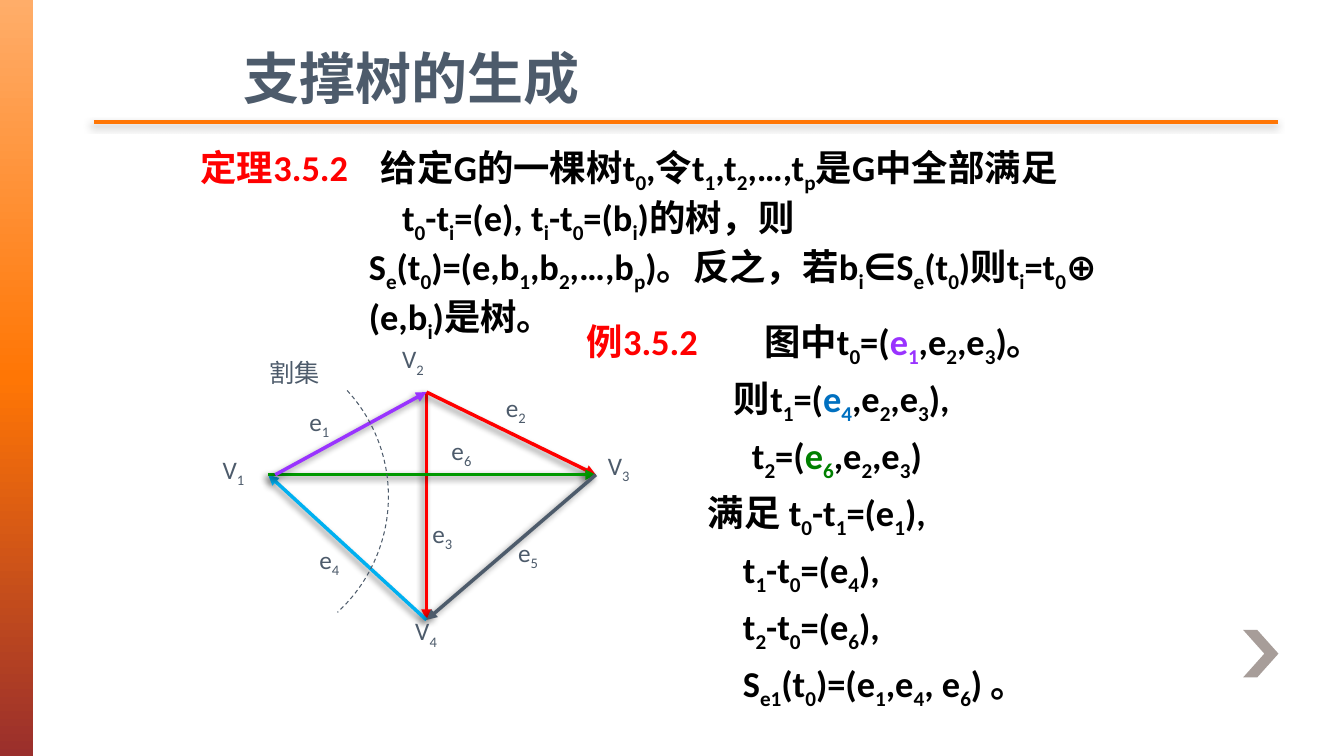
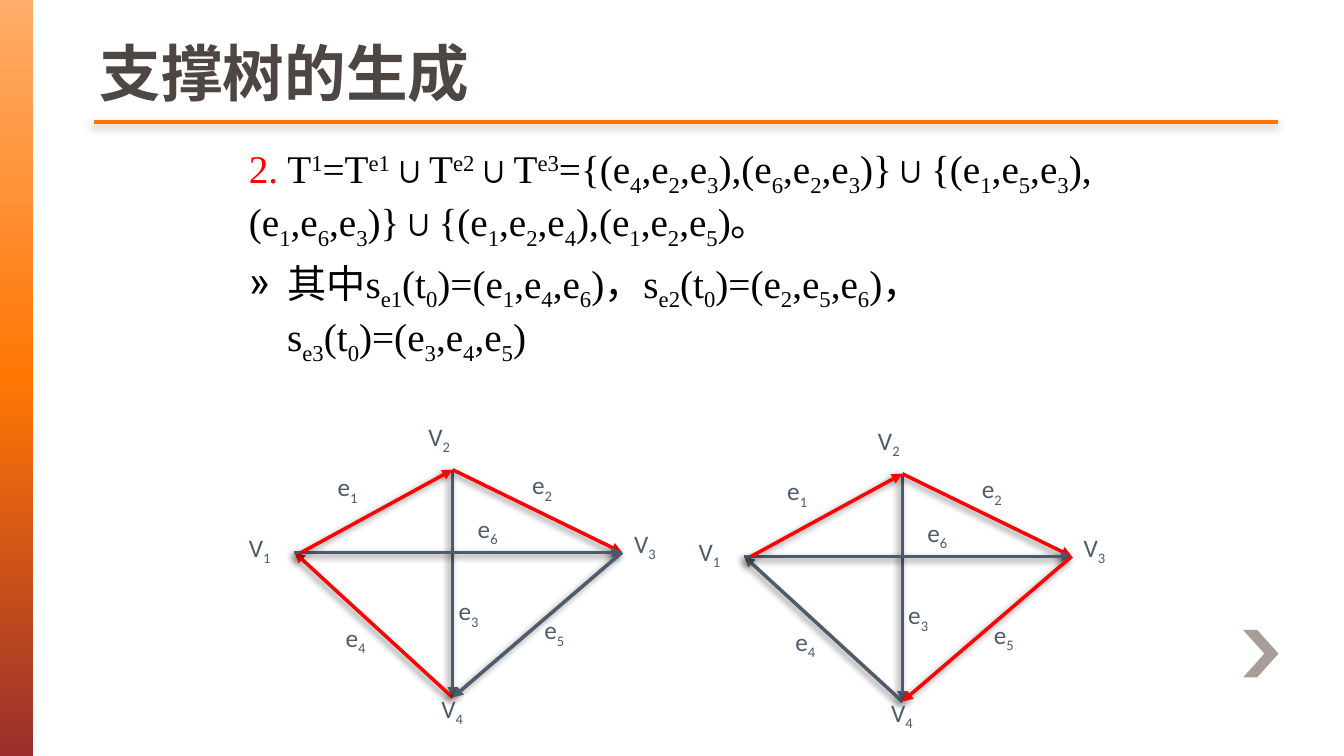
"""Builds two slides on generating spanning trees."""
from lxml import etree
from pptx import Presentation
from pptx.dml.color import RGBColor
from pptx.enum.dml import MSO_LINE
from pptx.enum.shapes import MSO_CONNECTOR, MSO_SHAPE
from pptx.enum.text import MSO_ANCHOR
from pptx.oxml import parse_xml
from pptx.oxml.ns import nsdecls, qn
from pptx.util import Emu, Pt

PX = 9144
SLATE, RED, BLACK, ORANGE = "4D5B6B", "FF0000", "000000", "FF7605"
BROWN, GREY = "4D4643", "A79D99"
PURPLE, BLUE, GREEN = "9933FF", "0070C0", "008000"
BAND_STOPS = [(0, "FFAD69"), (50, ORANGE), (100, "9A2F2C")]
TITLE = "支撑树的生成"

# Paragraphs: spans, left indent, hanging indent, space before, bullet
THEOREM = [
    dict(spans=[("定理3.5.2\t", RED), "给定G的一棵树t_0_,令t_1_,t_2_,…,t_p_是G中全部满足"],
         left=179, hang=179),
    dict(spans=["t_0_-t_i_=(e), t_i_-t_0_=(b_i_)的树，则"], left=200),
    dict(spans=["S_e_(t_0_)=(e,b_1_,b_2_,…,b_p_)。反之，若b_i_∈S_e_(t_0_)则t_i_=t_0_⊕ (e,b_i_)是树。"],
         left=167),
]
EXAMPLE = [
    dict(spans=[("例3.5.2\t", RED), "图中t_0_=(", ("e_1_", PURPLE), ",e_2_,e_3_)。"],
         left=176, hang=176),
    dict(spans=["则t_1_=(", ("e_4_", BLUE), ",e_2_,e_3_),"], left=146, before=5.2),
    dict(spans=["t_2_=(", ("e_6_", GREEN), ",e_2_,e_3_)"], left=164, before=5.2),
    dict(spans=["满足 t_0_-t_1_=(e_1_),"], left=120, before=5.2),
    dict(spans=["t_1_-t_0_=(e_4_),"], left=155, before=5.2),
    dict(spans=["t_2_-t_0_=(e_6_),"], left=155, before=5.2),
    dict(spans=["S_e1_(t_0_)=(e_1_,e_4_, e_6_) 。"], left=155, before=5.2),
]
UNION = [
    dict(spans=[("2.", RED),
                " T_^1_=T_^e1_∪T_^e2_∪T_^e3_={(e_4_,e_2_,e_3_),(e_6_,e_2_,e_3_)}"
                "∪{(e_1_,e_5_,e_3_),(e_1_,e_6_,e_3_)}∪{(e_1_,e_2_,e_4_),(e_1_,e_2_,e_5_)。"]),
    dict(spans=["其中s_e1_(t_0_)=(e_1_,e_4_,e_6_)，s_e2_(t_0_)=(e_2_,e_5_,e_6_)，"
                "s_e3_(t_0_)=(e_3_,e_4_,e_5_)"],
         left=38, hang=38, before=5.6, bullet="»"),
]

# Graph geometry, measured from vertex V2
V1, V2, V3, V4 = (-157, 82), (0, 0), (168, 82), (0, 226)
EDGES = {"e3": (V2, V4), "e2": (V2, V3), "e4": (V4, V1),
         "e6": (V1, V3), "e1": ((-150, 82), V2), "e5": (V3, V4)}
LABELS = {"e2": (69, -5), "e4": (-116, 146), "e3": (-4, 120), "e5": (81, 139),
          "e6": (15, 38), "V1": (-212, 57), "V2": (-34, -53), "V3": (170, 53),
          "V4": (-21, 217), "e1": (-124, -3)}
COLOURED_GRAPH = dict(
    origin=(423, 389), e1_label=(-126, 9),
    colours={"e1": PURPLE, "e2": RED, "e3": RED, "e4": "00B0F0", "e6": "009900"})
TREE_GRAPHS = [
    dict(origin=(449, 466), colours=dict.fromkeys(("e1", "e2", "e4"), RED)),
    dict(origin=(895, 470), colours=dict.fromkeys(("e1", "e2", "e5"), RED)),
]


def px(*values):
    return [Emu(v * PX) for v in values]


def rgb(value):
    return RGBColor.from_string(value)


def add_text(slide, box, paragraphs, size=18, font="Calibri", colour=SLATE,
             bold=False, anchor=MSO_ANCHOR.TOP):
    if isinstance(paragraphs, str):
        paragraphs = [dict(spans=[paragraphs])]
    tf = slide.shapes.add_textbox(*px(*box)).text_frame
    tf.word_wrap = True
    tf.vertical_anchor = anchor
    for i, item in enumerate(paragraphs):
        p = tf.add_paragraph() if i else tf.paragraphs[0]
        pPr = p._p.get_or_add_pPr()
        pPr.set("marL", str(item.get("left", 0) * PX))
        pPr.set("indent", str(-item.get("hang", 0) * PX))
        if "bullet" in item:
            etree.SubElement(pPr, qn("a:buChar")).set("char", item["bullet"])
        p.space_before = Pt(item.get("before", 0))
        for span in item["spans"]:
            text, span_colour = (span, colour) if isinstance(span, str) else span
            for k, part in enumerate(text.split("_")):
                if not part:
                    continue
                r = p.add_run()
                r.text = part.lstrip("^")
                f = r.font
                f.size, f.name, f.bold = Pt(size), font, bold
                f.color.rgb = rgb(span_colour)
                if k % 2:
                    baseline = "30000" if part.startswith("^") else "-25000"
                    r._r.get_or_add_rPr().set("baseline", baseline)


def add_line(slide, start, end, colour, arrow=True):
    line = slide.shapes.add_connector(MSO_CONNECTOR.STRAIGHT, *px(*start, *end))
    line.line.color.rgb = rgb(colour)
    line.line.width = Pt(2.5)
    if arrow:
        etree.SubElement(line.line._get_or_add_ln(), qn("a:tailEnd")).set("type", "triangle")
    line._element.spPr.append(parse_xml(
        f'<a:effectLst {nsdecls("a")}><a:outerShdw blurRad="63500" dist="38100" '
        'dir="8100000" rotWithShape="0"><a:srgbClr val="000000"><a:alpha val="45000"/>'
        '</a:srgbClr></a:outerShdw></a:effectLst>'))


def add_shape(slide, kind, box):
    sp = slide.shapes.add_shape(kind, *px(*box))
    sp.shadow.inherit = False
    sp.fill.background()
    sp.line.fill.background()
    return sp


def add_slide(prs, title_box, title_size, title_colour):
    slide = prs.slides.add_slide(prs.slide_layouts[6])
    band = add_shape(slide, MSO_SHAPE.RECTANGLE, (0, 0, 33, 750))
    stops = "".join(f'<a:gs pos="{pos * 1000}"><a:srgbClr val="{colour}"/></a:gs>'
                    for pos, colour in BAND_STOPS)
    spPr = band._element.spPr
    spPr.replace(spPr.find(qn("a:noFill")), parse_xml(
        f'<a:gradFill {nsdecls("a")}><a:gsLst>{stops}</a:gsLst>'
        '<a:lin ang="5400000" scaled="0"/></a:gradFill>'))
    chevron = add_shape(slide, MSO_SHAPE.CHEVRON, (1233, 625, 35, 47))
    chevron.adjustments[0] = 0.6
    chevron.fill.solid()
    chevron.fill.fore_color.rgb = rgb(GREY)
    add_line(slide, (93, 121), (1268, 121), ORANGE, arrow=False)
    add_text(slide, title_box, TITLE, size=title_size, font="Arial",
             colour=title_colour, bold=True, anchor=MSO_ANCHOR.BOTTOM)
    return slide


def add_graph(slide, origin, colours, e1_label=LABELS["e1"]):
    def place(point):
        return origin[0] + point[0], origin[1] + point[1]

    for name, (start, end) in EDGES.items():
        add_line(slide, place(start), place(end), colours.get(name, SLATE))
    for name, offset in {**LABELS, "e1": e1_label}.items():
        add_text(slide, (*place(offset), 64, 40), f"{name[0]}_{name[1]}_")


def main():
    prs = Presentation()
    prs.slide_width, prs.slide_height = px(1333, 750)

    slide = add_slide(prs, (232, 36, 885, 79), 40, SLATE)
    add_text(slide, (189, 139, 950, 205), THEOREM, size=26, colour=BLACK, bold=True)
    add_text(slide, (572, 312, 594, 414), EXAMPLE, size=26, colour=BLACK, bold=True)
    add_graph(slide, **COLOURED_GRAPH)
    arc = add_shape(slide, MSO_SHAPE.ARC, (74, 337, 311, 312))
    arc.rotation = 47.4
    arc.line.color.rgb = rgb(SLATE)
    arc.line.width = Pt(0.75)
    arc.line.dash_style = MSO_LINE.DASH
    add_text(slide, (257, 350, 89, 40), "割集")

    slide = add_slide(prs, (89, 0, 1175, 113), 44, BROWN)
    add_text(slide, (237, 138, 878, 240), UNION, size=28, font="Times New Roman",
             colour=BLACK)
    for graph in TREE_GRAPHS:
        add_graph(slide, **graph)
    prs.save("out.pptx")


if __name__ == "__main__":
    main()
